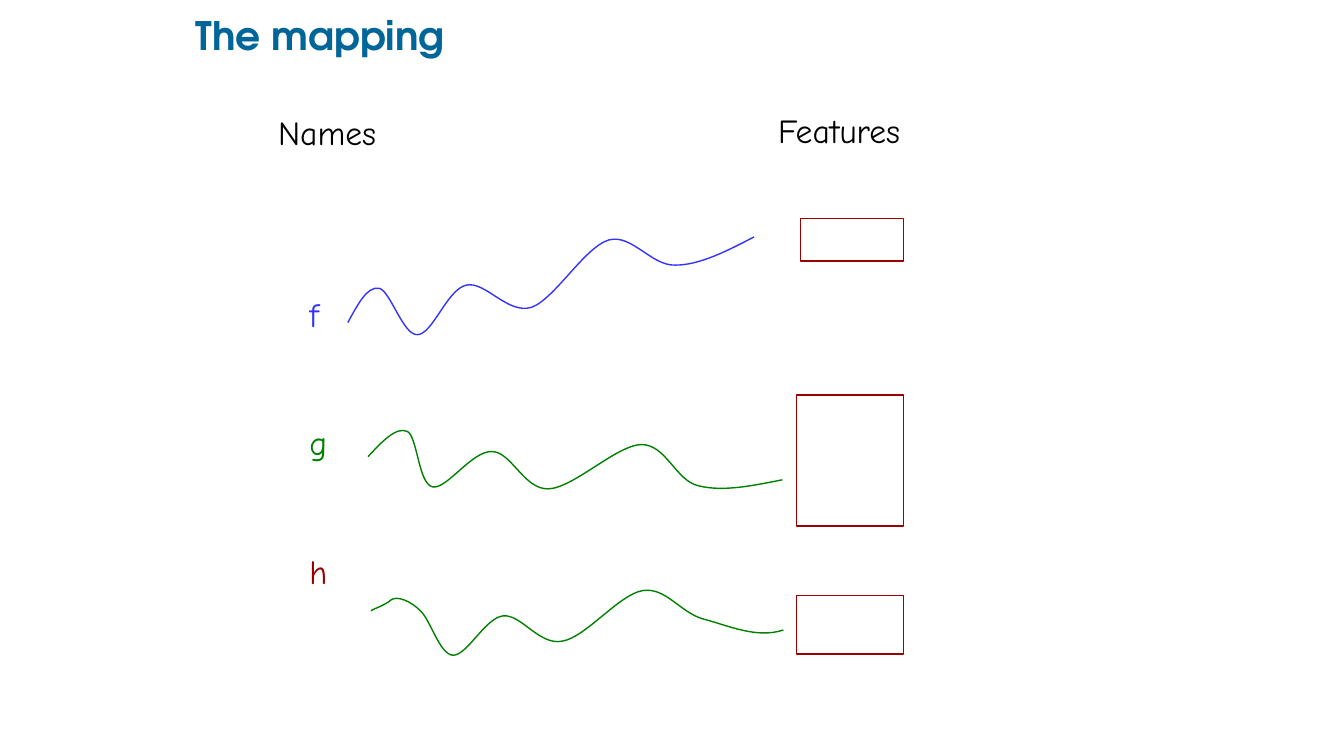
from dataclasses import dataclass

from lxml import etree
from pptx import Presentation
from pptx import util as u
from pptx.dml.color import RGBColor
from pptx.enum import shapes, text
from pptx.oxml.ns import qn

COLORS = {
    "title": "006699",
    "black": "000000",
    "blue": "3333FF",
    "green": "008000",
    "red": "990000",
    "white": "FFFFFF",
}
HAND_FONT = "Comic Neue"
TITLE_FONT = "TeX Gyre Adventor"
CURVE_SCALE = 914400


@dataclass
class Line:
    words: str
    color: str


@dataclass
class Label:
    left: float
    top: float
    width: float
    height: float
    lines: list[Line]
    font: dict
    paragraph: dict
    frame: dict


@dataclass
class Feature:
    left: float
    top: float
    width: float
    height: float


@dataclass
class Curve:
    color: str
    points: list[tuple[float, float]]


HAND = {"name": HAND_FONT, "size": u.Pt(24)}
MARGINS = ("margin_left", "margin_top", "margin_right", "margin_bottom")
TITLE_FRAME = {"vertical_anchor": text.MSO_ANCHOR.MIDDLE} | dict.fromkeys(MARGINS, 0)

LABELS = [
    Label(1.94, 0.13, 8.69, 0.48, [Line("The mapping", "title")],
          {"name": TITLE_FONT, "size": u.Pt(28), "bold": True},
          {"line_spacing": 0.9}, TITLE_FRAME),
    Label(2.97, 2.91, 1.16, 3.79,
          [Line("f", "blue"), Line("g", "green"), Line("h", "red")],
          HAND, {"line_spacing": 0.9, "space_before": u.Pt(66)}, {}),
    Label(2.66, 1.06, 1.35, 0.83, [Line("Names", "black")], HAND, {}, {}),
    Label(7.62, 1.04, 1.71, 0.83, [Line("Features", "black")], HAND, {}, {}),
]

FEATURES = [
    Feature(7.94, 2.17, 1.02, 0.42),
    Feature(7.9, 3.92, 1.06, 1.3),
    Feature(7.9, 5.91, 1.06, 0.58),
]

CURVES = [
    Curve("blue", [
        (3.45, 3.2),
        (3.55, 3.02), (3.64, 2.84), (3.76, 2.86),
        (3.87, 2.88), (4, 3.33), (4.14, 3.32),
        (4.29, 3.32), (4.43, 2.88), (4.62, 2.83),
        (4.81, 2.78), (5.03, 3.12), (5.27, 3.05),
        (5.5, 2.97), (5.8, 2.45), (6.04, 2.38),
        (6.27, 2.32), (6.46, 2.64), (6.7, 2.63),
        (6.94, 2.63), (7.21, 2.49), (7.48, 2.35),
    ]),
    Curve("green", [
        (3.65, 4.53),
        (3.79, 4.38), (3.93, 4.23), (4.04, 4.28),
        (4.14, 4.33), (4.15, 4.8), (4.29, 4.83),
        (4.43, 4.86), (4.68, 4.47), (4.88, 4.48),
        (5.07, 4.48), (5.2, 4.86), (5.44, 4.85),
        (5.69, 4.84), (6.11, 4.42), (6.36, 4.41),
        (6.61, 4.41), (6.7, 4.77), (6.93, 4.82),
        (7.17, 4.88), (7.46, 4.82), (7.76, 4.76),
    ]),
    Curve("green", [
        (3.68, 6.06),
        (3.68, 6.05), (3.83, 6), (3.88, 5.95),
        (3.94, 5.91), (4.07, 5.96), (4.17, 6.06),
        (4.27, 6.15), (4.36, 6.49), (4.49, 6.5),
        (4.63, 6.51), (4.81, 6.13), (4.99, 6.11),
        (5.17, 6.09), (5.35, 6.41), (5.58, 6.36),
        (5.81, 6.32), (6.14, 5.9), (6.37, 5.86),
        (6.6, 5.82), (6.74, 6.07), (6.97, 6.14),
        (7.21, 6.2), (7.5, 6.34), (7.77, 6.25),
    ]),
]


def rgb(name: str) -> RGBColor:
    return RGBColor.from_string(COLORS[name])


def apply(target, values: dict) -> None:
    for name, value in values.items():
        setattr(target, name, value)


def outline(shape, color: str) -> None:
    shape.shadow.inherit = False
    shape.line.color.rgb = rgb(color)
    shape.line.width = u.Pt(1)


def draw_label(page, label: Label) -> None:
    box = page.shapes.add_textbox(u.Inches(label.left), u.Inches(label.top),
                                  u.Inches(label.width), u.Inches(label.height))
    frame = box.text_frame
    apply(frame, {"word_wrap": True} | label.frame)
    for index, line in enumerate(label.lines):
        para = frame.add_paragraph() if index else frame.paragraphs[0]
        apply(para, label.paragraph)
        if index == 0:
            para.space_before = u.Pt(0)
        span = para.add_run()
        span.text = line.words
        apply(span.font, label.font)
        span.font.color.rgb = rgb(line.color)


def draw_feature(page, feature: Feature) -> None:
    box = page.shapes.add_shape(
        shapes.MSO_SHAPE.RECTANGLE, u.Inches(feature.left), u.Inches(feature.top),
        u.Inches(feature.width), u.Inches(feature.height))
    box.fill.solid()
    box.fill.fore_color.rgb = rgb("white")
    outline(box, "red")


def draw_curve(page, curve: Curve) -> None:
    start, *rest = [(u.Inches(x), u.Inches(y)) for x, y in curve.points]
    builder = page.shapes.build_freeform(*start)
    builder.add_line_segments(rest, close=False)
    shape = builder.convert_to_shape()
    shape.fill.background()
    outline(shape, curve.color)
    segments = list(shape.element.iter(qn("a:lnTo")))
    for first in range(0, len(segments), 3):
        trio = segments[first:first + 3]
        bezier = etree.Element(qn("a:cubicBezTo"))
        trio[0].addprevious(bezier)
        for segment in trio:
            bezier.append(segment[0])
            segment.getparent().remove(segment)


def main() -> None:
    deck = Presentation()
    apply(deck, {"slide_width": u.Inches(13.33), "slide_height": u.Inches(7.5)})
    page = deck.slides.add_slide(deck.slide_layouts[6])
    for label in LABELS:
        draw_label(page, label)
    for feature in FEATURES:
        draw_feature(page, feature)
    for curve in CURVES:
        draw_curve(page, curve)
    deck.save("out.pptx")


if __name__ == "__main__":
    main()
